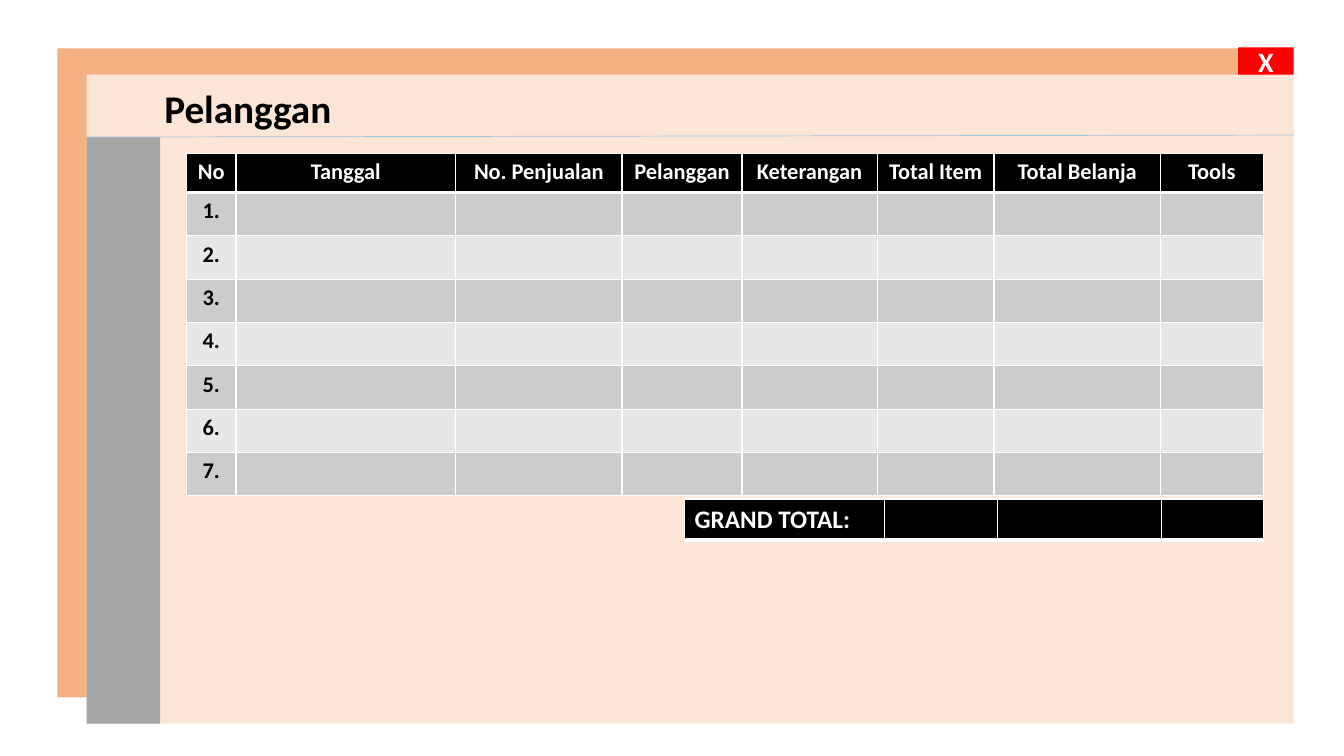
from dataclasses import dataclass

from lxml.etree import SubElement
from pptx import Presentation
from pptx.dml.color import RGBColor
from pptx.enum.shapes import MSO_CONNECTOR as Connector, MSO_SHAPE as Preset
from pptx.enum.text import MSO_ANCHOR as Anchor, PP_ALIGN as Align
from pptx.oxml import parse_xml
from pptx.oxml.ns import nsdecls, qn
from pptx.util import Inches, Pt

# Content
TITLE = "Pelanggan"
CLOSE = "X"
HEADERS = ["No", "Tanggal", "No. Penjualan", "Pelanggan",
           "Keterangan", "Total Item", "Total Belanja", "Tools"]
ENTRIES = 7
SALES = [HEADERS] + [[f"{number}."] + [""] * (len(HEADERS) - 1)
                     for number in range(1, ENTRIES + 1)]
TOTALS = [["GRAND TOTAL:", "", "", ""]]

# Layout in inches
SLIDE_SIZE = (13.33, 7.5)
PANEL_SIZE = (11.97, 6.44)
BACK_LEFT, BACK_TOP = 0.57, 0.48
FRONT_LEFT, FRONT_TOP = 0.86, 0.74
FRONT_RIGHT = FRONT_LEFT + PANEL_SIZE[0]
FRONT_BOTTOM = FRONT_TOP + PANEL_SIZE[1]
RULE_TOP = 1.36
CLOSE_SIZE = (0.55, 0.27)
SALES_COLUMNS = [0.49, 2.18, 1.65, 1.19, 1.34, 1.16, 1.65, 1.02]
TOTAL_COLUMNS = [1.98, 1.12, 1.63, 1.01]
SALES_LEFT, SALES_TOP = 1.85, 1.52
SALES_ROWS = [0.39] + [0.43] * ENTRIES
TOTAL_LEFT = SALES_LEFT + sum(SALES_COLUMNS) - sum(TOTAL_COLUMNS)
TOTAL_TOP = 4.95


@dataclass(frozen=True)
class Theme:
    font: str = "Calibri"
    back: str = "F4B183"
    front: str = "FBE5D6"
    sidebar: str = "A6A6A6"
    close: str = "FF0000"
    rule: str = "9DC3E6"
    dark: str = "000000"
    light: str = "FFFFFF"
    bands: tuple = ("CCCCCC", "E7E7E7")
    title_size: int = 28
    close_size: int = 20
    total_size: int = 18
    table_size: int = 16
    border: int = 1
    heavy_border: int = 3


THEME = Theme()


def write_text(frame, text, *, size, color, align=Align.CENTER):
    paragraph = frame.paragraphs[0]
    paragraph.alignment = align
    run = paragraph.add_run()
    run.text = text
    run.font.name = THEME.font
    run.font.size = Pt(size)
    run.font.bold = True
    run.font.color.rgb = RGBColor.from_string(color)


def add_block(slide, left, top, width, height, color):
    shape = slide.shapes.add_shape(
        Preset.RECTANGLE, *map(Inches, (left, top, width, height)))
    shape.shadow.inherit = False
    shape.fill.solid()
    shape.fill.fore_color.rgb = RGBColor.from_string(color)
    shape.line.fill.background()
    return shape


def set_borders(cell, widths):
    """Draw cell edges; widths maps L, R, T, B (in that order) to points."""
    properties = cell._tc.get_or_add_tcPr()
    for position, (side, width) in enumerate(widths.items()):
        properties.insert(position, parse_xml(
            f'<a:ln{side} {nsdecls("a")} w="{Pt(width)}"><a:solidFill>'
            f'<a:srgbClr val="{THEME.light}"/></a:solidFill></a:ln{side}>'))


def add_grid(slide, content, left, top, columns, rows, *, size, align):
    frame = slide.shapes.add_table(
        len(rows), len(columns),
        *map(Inches, (left, top, sum(columns), sum(rows))))
    table = frame.table
    table.horz_banding = False
    for column, width in zip(table.columns, columns):
        column.width = Inches(width)
    for index, (row, height) in enumerate(zip(table.rows, rows)):
        row.height = Inches(height)
        header = index == 0
        fill = THEME.dark if header else THEME.bands[(index - 1) % 2]
        edges = {"L": THEME.border, "R": THEME.border}
        if header:
            edges["T"] = THEME.border
        edges["B"] = THEME.heavy_border if header else THEME.border
        for cell, text in zip(row.cells, content[index]):
            cell.fill.solid()
            cell.fill.fore_color.rgb = RGBColor.from_string(fill)
            set_borders(cell, edges)
            if text:
                write_text(cell.text_frame, text, size=size, align=align,
                           color=THEME.light if header else THEME.dark)


def build():
    presentation = Presentation()
    presentation.slide_width, presentation.slide_height = map(Inches, SLIDE_SIZE)
    slide = presentation.slides.add_slide(presentation.slide_layouts[5])

    # Window panels and close button
    add_block(slide, BACK_LEFT, BACK_TOP, *PANEL_SIZE, THEME.back)
    add_block(slide, FRONT_LEFT, FRONT_TOP, *PANEL_SIZE, THEME.front)
    close = add_block(slide, FRONT_RIGHT - CLOSE_SIZE[0],
                      FRONT_TOP - CLOSE_SIZE[1], *CLOSE_SIZE, THEME.close)
    close.text_frame.vertical_anchor = Anchor.MIDDLE
    write_text(close.text_frame, CLOSE, size=THEME.close_size, color=THEME.light)

    # Title, moved in front of the panels
    title = slide.shapes.title
    title.left, title.top, title.width, title.height = map(
        Inches, (1.53, 0.79, 2.08, 0.57))
    title.text_frame.vertical_anchor = Anchor.TOP
    write_text(title.text_frame, TITLE, size=THEME.title_size,
               color=THEME.dark, align=Align.LEFT)
    close._element.addnext(title._element)

    # Sidebar
    add_block(slide, FRONT_LEFT, RULE_TOP, 0.73,
              FRONT_BOTTOM - RULE_TOP, THEME.sidebar)

    # Sales table and grand total
    add_grid(slide, SALES, SALES_LEFT, SALES_TOP, SALES_COLUMNS, SALES_ROWS,
             size=THEME.table_size, align=Align.CENTER)
    add_grid(slide, TOTALS, TOTAL_LEFT, TOTAL_TOP, TOTAL_COLUMNS, [0.41],
             size=THEME.total_size, align=Align.LEFT)

    # Rule under the title
    rule = slide.shapes.add_connector(Connector.STRAIGHT, *map(
        Inches, (FRONT_LEFT, RULE_TOP, FRONT_RIGHT, RULE_TOP - 0.02)))
    rule.line.color.rgb = RGBColor.from_string(THEME.rule)
    rule.line.width = Pt(0.5)
    SubElement(rule._element.spPr, qn("a:effectLst"))

    presentation.save("out.pptx")


if __name__ == "__main__":
    build()
